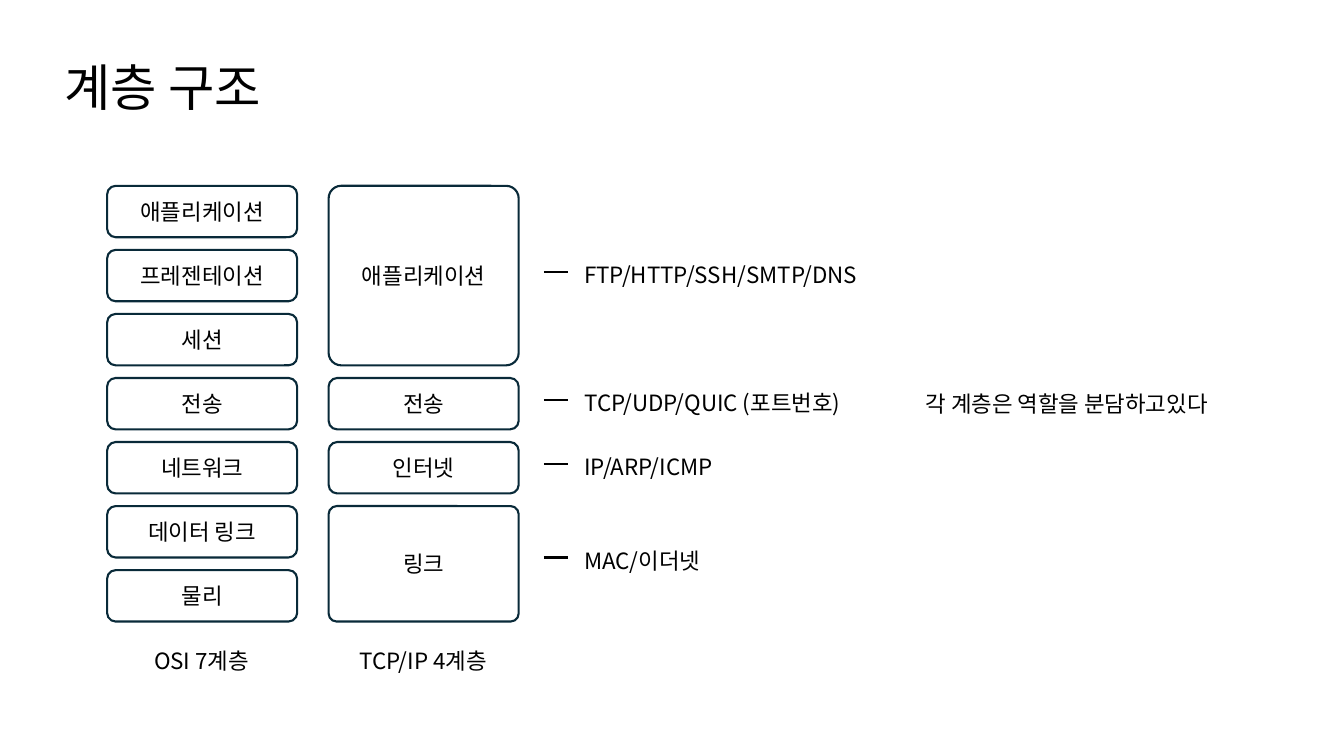
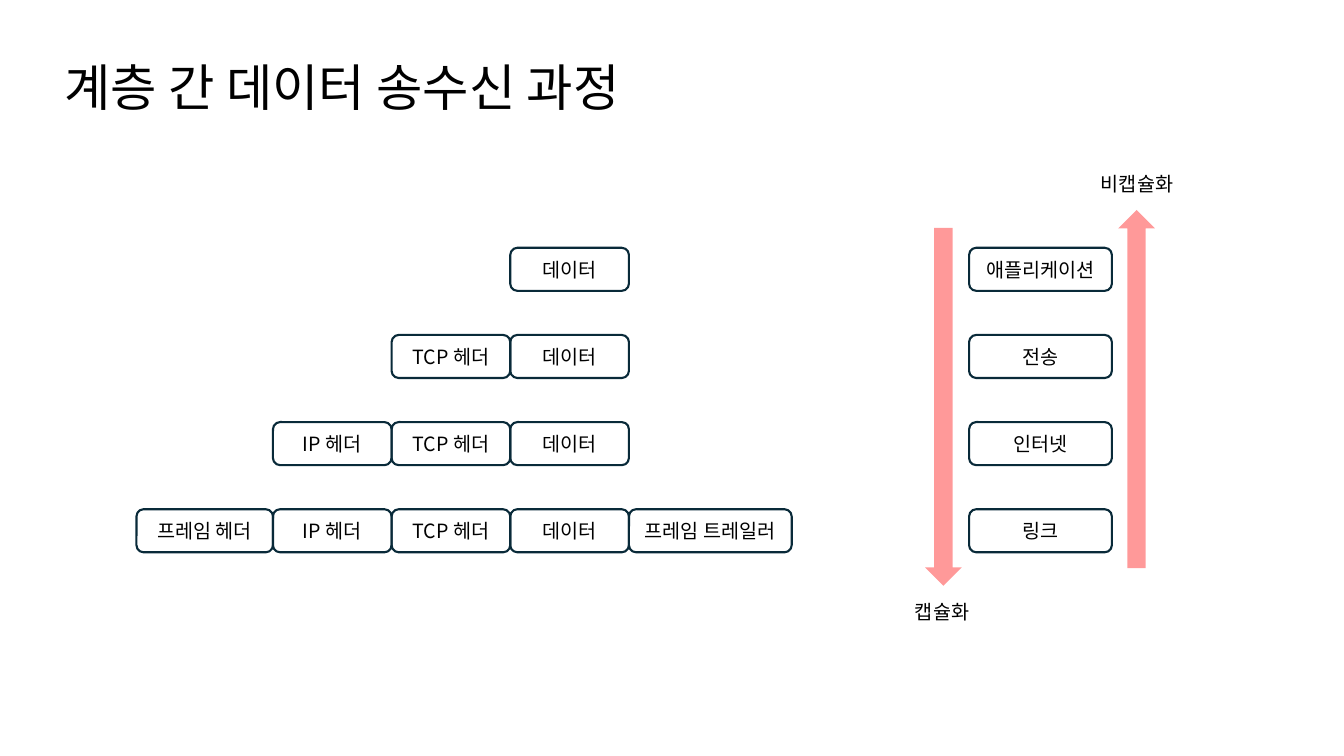
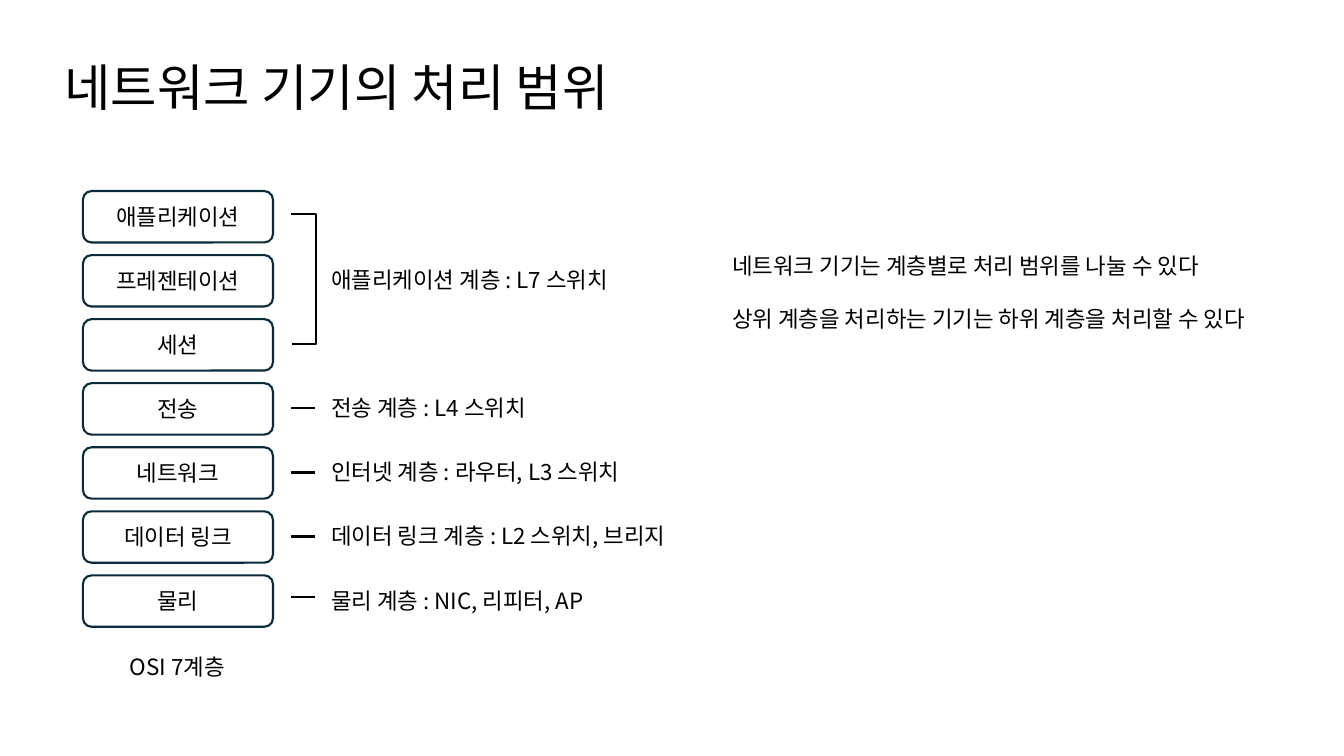
from dataclasses import dataclass
from typing import Optional

from lxml import etree
from pptx import Presentation
from pptx.dml.color import RGBColor
from pptx.enum.shapes import MSO_CONNECTOR, MSO_SHAPE
from pptx.enum.text import MSO_ANCHOR, MSO_AUTO_SIZE, PP_ALIGN
from pptx.oxml.ns import qn
from pptx.util import Emu, Pt

LEFT, CENTER = PP_ALIGN.LEFT, PP_ALIGN.CENTER
MIDDLE = MSO_ANCHOR.MIDDLE
FIT_SHAPE = MSO_AUTO_SIZE.SHAPE_TO_FIT_TEXT
STRAIGHT, ELBOW = MSO_CONNECTOR.STRAIGHT, MSO_CONNECTOR.ELBOW
ROUNDED = MSO_SHAPE.ROUNDED_RECTANGLE
DOWN_ARROW, UP_ARROW = MSO_SHAPE.DOWN_ARROW, MSO_SHAPE.UP_ARROW

EMU_PER_PX = 9525
SLIDE_WIDTH, SLIDE_HEIGHT = 1280, 720


@dataclass(frozen=True)
class Theme:
    font: str = "Noto Sans CJK KR"
    text: RGBColor = RGBColor(0x00, 0x00, 0x00)
    outline: RGBColor = RGBColor(0x09, 0x2A, 0x39)
    arrow: RGBColor = RGBColor(0xFF, 0x00, 0x00)
    arrow_opacity: int = 40
    line_width: float = 1.5
    title_size: int = 36
    body_size: int = 16
    small_size: int = 14
    paragraph_gap: int = 19
    tall_corner: float = 0.07


THEME = Theme()


@dataclass(frozen=True)
class Box:
    left: int
    top: int
    width: int
    height: int

    @property
    def middle(self):
        return self.top + self.height // 2

    @property
    def right(self):
        return self.left + self.width

    def emu(self):
        return [px(n) for n in (self.left, self.top, self.width, self.height)]


@dataclass(frozen=True)
class Note:
    """A remark beside some layer rows; tick_drop places its dash below the text top."""
    row: int
    span: int
    text: str
    width: int
    tick_drop: Optional[int]
    lift: int = 0


TITLE_LEFT, TITLE_TOP, TITLE_HEIGHT = 52, 49, 68
LAYER_WIDTH, LAYER_HEIGHT, LAYER_PITCH = 181, 49, 61
CAPTION_DROP, LABEL_HEIGHT = 435, 36
TICK_LENGTH, NOTE_INDENT = 23, 29
PACKET_HEIGHT, PACKET_PITCH, PACKET_LAYER_WIDTH = 41, 83, 136
ARROW_WIDTH, ARROW_HEIGHT = 35, 341

OSI_LAYERS = [(name, 1) for name in (
    "애플리케이션", "프레젠테이션", "세션", "전송", "네트워크", "데이터 링크", "물리")]
TCP_IP_LAYERS = [("애플리케이션", 3), ("전송", 1), ("인터넷", 1), ("링크", 2)]
OSI_CAPTION = ("OSI 7계층", 118)
TCP_IP_CAPTION = ("TCP/IP 4계층", 156)

PROTOCOL_NOTES = [
    Note(0, 3, "FTP/HTTP/SSH/SMTP/DNS", 295, 15),
    Note(3, 1, "TCP/UDP/QUIC (포트번호)", 278, 15),
    Note(4, 1, "IP/ARP/ICMP", 155, 15),
    Note(5, 2, "MAC/이더넷", 140, 15, lift=3),
]
DEVICE_NOTES = [
    Note(0, 3, "애플리케이션 계층 : L7 스위치", 303, None),
    Note(3, 1, "전송 계층 : L4 스위치", 228, 18),
    Note(4, 1, "인터넷 계층 : 라우터, L3 스위치", 317, 18),
    Note(5, 1, "데이터 링크 계층 : L2 스위치, 브리지", 364, 18),
    Note(6, 1, "물리 계층 : NIC, 리피터, AP", 278, 15),
]

PAYLOAD = "데이터"
SEGMENT_WIDTHS = {PAYLOAD: 113, "TCP 헤더": 113, "IP 헤더": 113,
                  "프레임 헤더": 130, "프레임 트레일러": 155}
PACKETS = [
    [PAYLOAD],
    ["TCP 헤더", PAYLOAD],
    ["IP 헤더", "TCP 헤더", PAYLOAD],
    ["프레임 헤더", "IP 헤더", "TCP 헤더", PAYLOAD, "프레임 트레일러"],
]


def px(length):
    return Emu(length * EMU_PER_PX)


def set_attributes(target, values):
    for name, value in values.items():
        setattr(target, name, value)


def write_text(frame, text, size, align):
    """Put each line of text in its own paragraph."""
    for index, line in enumerate(text.split("\n")):
        paragraph = frame.add_paragraph() if index else frame.paragraphs[0]
        paragraph.alignment = align
        if index:
            paragraph.space_before = Pt(THEME.paragraph_gap)
        run = paragraph.add_run()
        run.text = line
        run.font.color.rgb = THEME.text
        set_attributes(run.font, {"size": Pt(size), "name": THEME.font})
        east_asian = etree.SubElement(run._r.get_or_add_rPr(), qn("a:ea"))
        east_asian.set("typeface", THEME.font)


def add_label(slide, box, text, size=THEME.body_size, align=LEFT):
    frame = slide.shapes.add_textbox(*box.emu()).text_frame
    set_attributes(frame, {"word_wrap": False, "auto_size": FIT_SHAPE})
    write_text(frame, text, size, align)


def add_rounded_box(slide, box, text, size=THEME.body_size, corner=None):
    shape = slide.shapes.add_shape(ROUNDED, *box.emu())
    shape.shadow.inherit = False
    shape.fill.background()
    shape.line.color.rgb = THEME.outline
    shape.line.width = Pt(THEME.line_width)
    if corner is not None:
        shape.adjustments[0] = corner
    shape.text_frame.vertical_anchor = MIDDLE
    write_text(shape.text_frame, text, size, CENTER)


def add_line(slide, kind, start, end):
    connector = slide.shapes.add_connector(kind, *[px(n) for n in (*start, *end)])
    connector.line.color.rgb = THEME.text
    connector.line.width = Pt(THEME.line_width)
    etree.SubElement(connector._element.spPr, qn("a:effectLst"))
    return connector


def add_bracket(slide, left, top, bottom):
    """Draw an elbow line that reaches out to the right and comes back."""
    connector = add_line(slide, ELBOW, (left, top), (left + 1, bottom))
    geometry = connector._element.spPr.find(qn("a:prstGeom"))
    guides = geometry.find(qn("a:avLst"))
    if guides is None:
        guides = etree.SubElement(geometry, qn("a:avLst"))
    guide = etree.SubElement(guides, qn("a:gd"))
    guide.set("name", "adj1")
    guide.set("fmla", f"val {(TICK_LENGTH + 1) * 100000}")


def add_flow_arrow(slide, kind, left, top):
    shape = slide.shapes.add_shape(kind, *Box(left, top, ARROW_WIDTH, ARROW_HEIGHT).emu())
    shape.shadow.inherit = False
    shape.line.fill.background()
    shape.fill.solid()
    shape.fill.fore_color.rgb = THEME.arrow
    color = shape._element.spPr.find(qn("a:solidFill"))[0]
    etree.SubElement(color, qn("a:alpha")).set("val", str(THEME.arrow_opacity * 1000))


def layer_box(left, top, row, span):
    return Box(left, top + row * LAYER_PITCH, LAYER_WIDTH,
               (span - 1) * LAYER_PITCH + LAYER_HEIGHT)


def add_layer_stack(slide, left, top, layers, caption):
    row = 0
    for name, span in layers:
        corner = THEME.tall_corner if span > 1 else None
        add_rounded_box(slide, layer_box(left, top, row, span), name, corner=corner)
        row += span
    text, width = caption
    add_label(slide, Box(left + (LAYER_WIDTH - width) // 2, top + CAPTION_DROP,
                         width, LABEL_HEIGHT), text, align=CENTER)


def add_notes(slide, left, stack_top, notes):
    for note in notes:
        middle = layer_box(left, stack_top, note.row, note.span).middle
        top = middle - LABEL_HEIGHT // 2 - note.lift
        add_label(slide, Box(left + NOTE_INDENT, top, note.width, LABEL_HEIGHT), note.text)
        if note.tick_drop is not None:
            tick = top + note.tick_drop
            add_line(slide, STRAIGHT, (left, tick), (left + TICK_LENGTH, tick))


def add_packets(slide, payload_left, top):
    """Stack the packets so that their payloads share one column."""
    for row, segments in enumerate(PACKETS):
        headers = segments[:segments.index(PAYLOAD)]
        left = payload_left - sum(SEGMENT_WIDTHS[name] for name in headers)
        for name in segments:
            box = Box(left, top + row * PACKET_PITCH, SEGMENT_WIDTHS[name], PACKET_HEIGHT)
            add_rounded_box(slide, box, name, THEME.small_size)
            left = box.right


def add_encapsulation(slide, left, top):
    for row, (name, _) in enumerate(TCP_IP_LAYERS):
        box = Box(left, top + row * PACKET_PITCH, PACKET_LAYER_WIDTH, PACKET_HEIGHT)
        add_rounded_box(slide, box, name, THEME.small_size)
    add_flow_arrow(slide, DOWN_ARROW, left - 42, top - 19)
    add_flow_arrow(slide, UP_ARROW, left + 142, top - 36)
    add_label(slide, Box(left - 61, top + 331, 74, 33), "캡슐화", THEME.small_size)
    add_label(slide, Box(left + 114, top - 77, 92, 33), "비캡슐화",
              THEME.small_size, CENTER)


def add_titled_slide(presentation, title, title_width):
    slide = presentation.slides.add_slide(presentation.slide_layouts[6])
    add_label(slide, Box(TITLE_LEFT, TITLE_TOP, title_width, TITLE_HEIGHT),
              title, THEME.title_size)
    return slide


def build_layer_slide(presentation):
    slide = add_titled_slide(presentation, "계층 구조", 220)
    top = 177
    add_layer_stack(slide, 102, top, OSI_LAYERS, OSI_CAPTION)
    add_layer_stack(slide, 313, top, TCP_IP_LAYERS, TCP_IP_CAPTION)
    add_notes(slide, 518, top, PROTOCOL_NOTES)
    add_label(slide, Box(872, 367, 307, LABEL_HEIGHT), "각 계층은 역할을 분담하고있다")


def build_transfer_slide(presentation):
    slide = add_titled_slide(presentation, "계층 간 데이터 송수신 과정", 588)
    top = 236
    add_packets(slide, 486, top)
    add_encapsulation(slide, 923, top)


def build_device_slide(presentation):
    slide = add_titled_slide(presentation, "네트워크 기기의 처리 범위", 573)
    top, notes_left = 182, 277
    add_layer_stack(slide, 79, top, OSI_LAYERS, OSI_CAPTION)
    add_bracket(slide, notes_left, top + 22, top + 146)
    add_notes(slide, notes_left, top, DEVICE_NOTES)
    add_label(slide, Box(688, 235, 552, 87),
              "네트워크 기기는 계층별로 처리 범위를 나눌 수 있다\n"
              "상위 계층을 처리하는 기기는 하위 계층을 처리할 수 있다")


def main():
    presentation = Presentation()
    set_attributes(presentation, {"slide_width": px(SLIDE_WIDTH),
                                  "slide_height": px(SLIDE_HEIGHT)})
    for build in (build_layer_slide, build_transfer_slide, build_device_slide):
        build(presentation)
    presentation.save("out.pptx")


if __name__ == "__main__":
    main()
